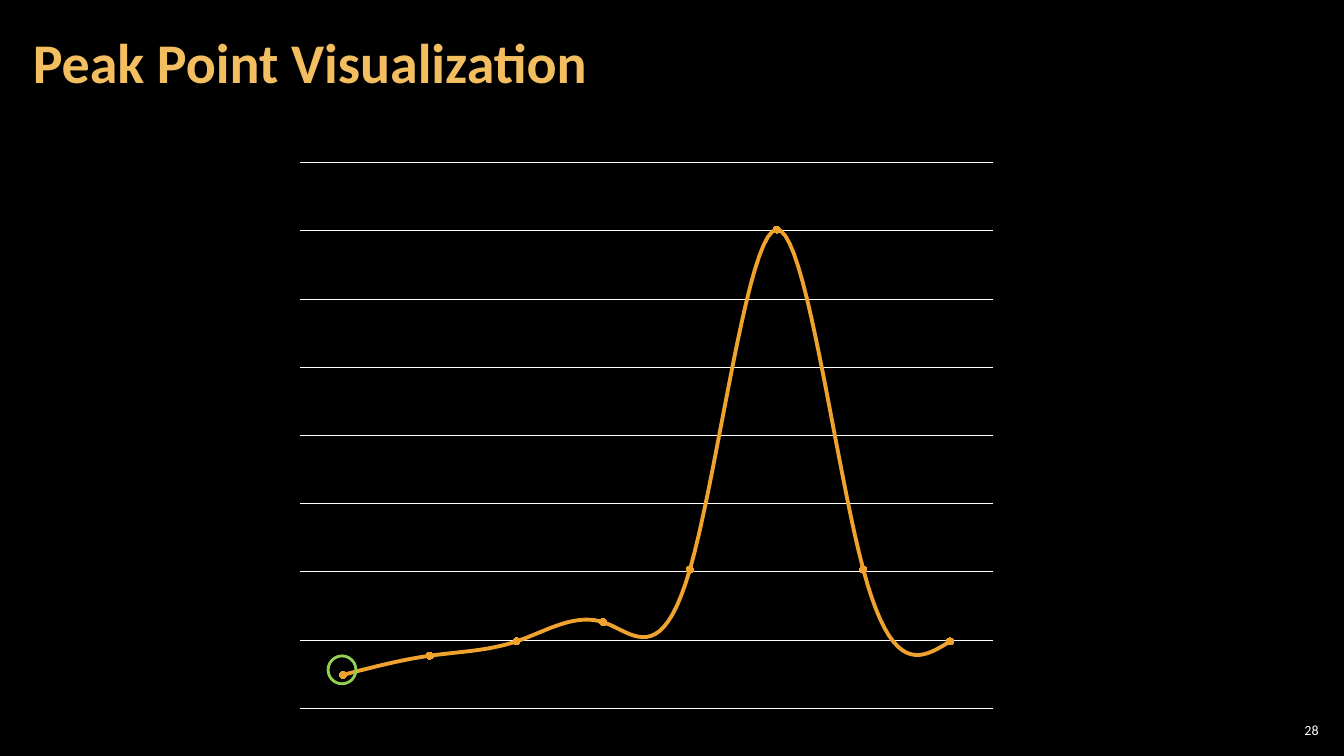
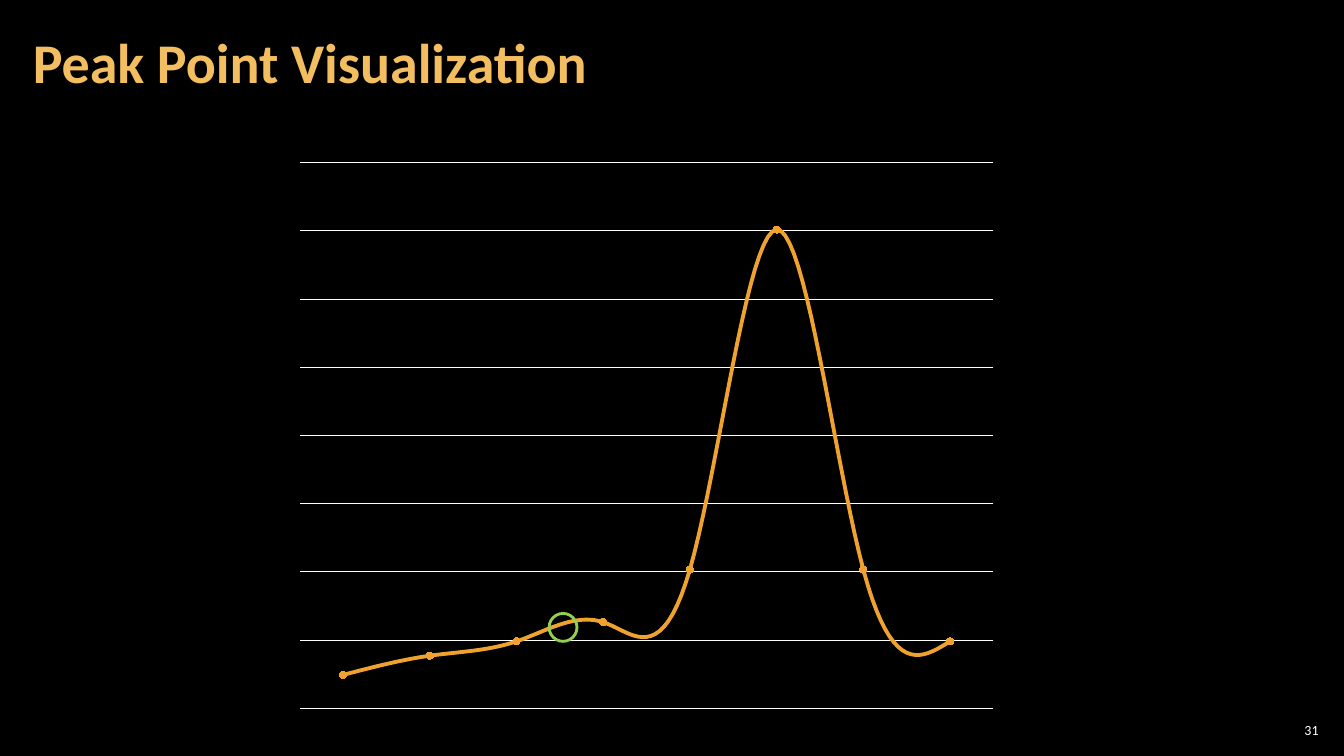
from lxml.etree import SubElement
from pptx import Presentation
from pptx.chart.data import CategoryChartData
from pptx.dml.color import RGBColor
from pptx.enum.chart import XL_CHART_TYPE, XL_MARKER_STYLE
from pptx.enum.shapes import MSO_SHAPE
from pptx.enum.text import MSO_ANCHOR, PP_ALIGN
from pptx.oxml.ns import qn
from pptx.util import Cm, Pt

COLORS = {
    "background": "000000",
    "title": "F3BE60",
    "text": "FFFFFF",
    "curve": "F0A22E",
    "position": "92D050",
}
FONT = "Calibri"
TITLE_BOX = (0.53, 0.1, 26.6, 3.08)
NUMBER_BOX = (32.13, 18.14, 1.2, 0.53)
CHART_BOX = (7.19, 3.81, 18.21, 14.33)
CURVE_VALUES = (7, 11, 14, 18, 29, 100, 29, 14)
GRID_STEP = 14.25
GRID_STEPS = 8
PLOT_LAYOUT = {"x": 0.02, "y": 0.02, "w": 0.96, "h": 0.96}
RING_SIZE = 0.74


def color(name):
    return RGBColor.from_string(COLORS[name])


def style_font(font, size, color_name, bold=False):
    font.name = FONT
    font.size = Pt(size)
    font.bold = bold
    font.color.rgb = color(color_name)


def add_label(slide, box, text, size, color_name, side_margin,
              bold=False, align=PP_ALIGN.LEFT, line_spacing=1.0):
    frame = slide.shapes.add_textbox(*map(Cm, box)).text_frame
    frame.word_wrap = True
    frame.vertical_anchor = MSO_ANCHOR.MIDDLE
    frame.margin_left = frame.margin_right = Cm(side_margin)
    frame.margin_top = frame.margin_bottom = Cm(0.1)
    paragraph = frame.paragraphs[0]
    paragraph.alignment = align
    paragraph.line_spacing = line_spacing
    run = paragraph.add_run()
    run.text = text
    style_font(run.font, size, color_name, bold)


def fix_plot_area(chart):
    plot_area = chart.element.find(".//" + qn("c:plotArea"))
    layout = plot_area.find(qn("c:layout"))
    if layout is None:
        layout = SubElement(plot_area, qn("c:layout"))
        plot_area.insert(0, layout)
    manual = SubElement(layout, qn("c:manualLayout"))
    settings = {"layoutTarget": "inner", "xMode": "edge", "yMode": "edge", **PLOT_LAYOUT}
    for tag, value in settings.items():
        SubElement(manual, qn("c:" + tag)).set("val", str(value))


def add_curve(slide, box):
    data = CategoryChartData()
    data.categories = [str(n) for n in range(1, len(CURVE_VALUES) + 1)]
    data.add_series("Series 1", CURVE_VALUES)
    chart = slide.shapes.add_chart(XL_CHART_TYPE.LINE_MARKERS, *map(Cm, box), data).chart
    chart.has_title = False
    chart.has_legend = False
    style_font(chart.font, 10, "text")
    fix_plot_area(chart)

    chart.category_axis.visible = False
    levels = chart.value_axis
    levels.visible = False
    levels.minimum_scale = 0
    levels.maximum_scale = GRID_STEP * GRID_STEPS
    levels.major_unit = GRID_STEP
    levels.has_major_gridlines = True
    grid = levels.major_gridlines.format.line
    grid.color.rgb = color("text")
    grid.width = Pt(0.75)

    plot = chart.plots[0]
    plot.vary_by_categories = False
    curve = plot.series[0]
    curve.smooth = True
    curve.format.line.color.rgb = color("curve")
    curve.format.line.width = Pt(2.75)
    curve.marker.style = XL_MARKER_STYLE.CIRCLE
    curve.marker.size = 5
    curve.marker.format.fill.solid()
    curve.marker.format.fill.fore_color.rgb = color("curve")
    curve.marker.format.line.fill.background()


def add_position_ring(slide, box, center):
    left, top = (edge + offset - RING_SIZE / 2 for edge, offset in zip(box, center))
    ring = slide.shapes.add_shape(
        MSO_SHAPE.DONUT, Cm(left), Cm(top), Cm(RING_SIZE), Cm(RING_SIZE))
    ring.adjustments[0] = 0.05
    ring.shadow.inherit = False
    ring.fill.solid()
    ring.fill.fore_color.rgb = color("position")
    ring.line.color.rgb = color("position")
    ring.line.width = Pt(1)


def add_peak_slide(prs, number, ring_center):
    slide = prs.slides.add_slide(prs.slide_layouts[6])
    add_label(slide, NUMBER_BOX, number, 10, "text", 0.1, align=PP_ALIGN.RIGHT)
    add_label(slide, TITLE_BOX, "Peak Point Visualization", 40, "title", 0.3,
              bold=True, line_spacing=0.9)
    add_curve(slide, CHART_BOX)
    add_position_ring(slide, CHART_BOX, ring_center)


def main():
    prs = Presentation()
    prs.slide_width, prs.slide_height = Cm(33.87), Cm(19.05)
    backdrop = prs.slide_master.background.fill
    backdrop.solid()
    backdrop.fore_color.rgb = color("background")
    add_peak_slide(prs, "28", (1.43, 13.07))
    add_peak_slide(prs, "31", (7, 12))
    prs.save("out.pptx")


if __name__ == "__main__":
    main()
